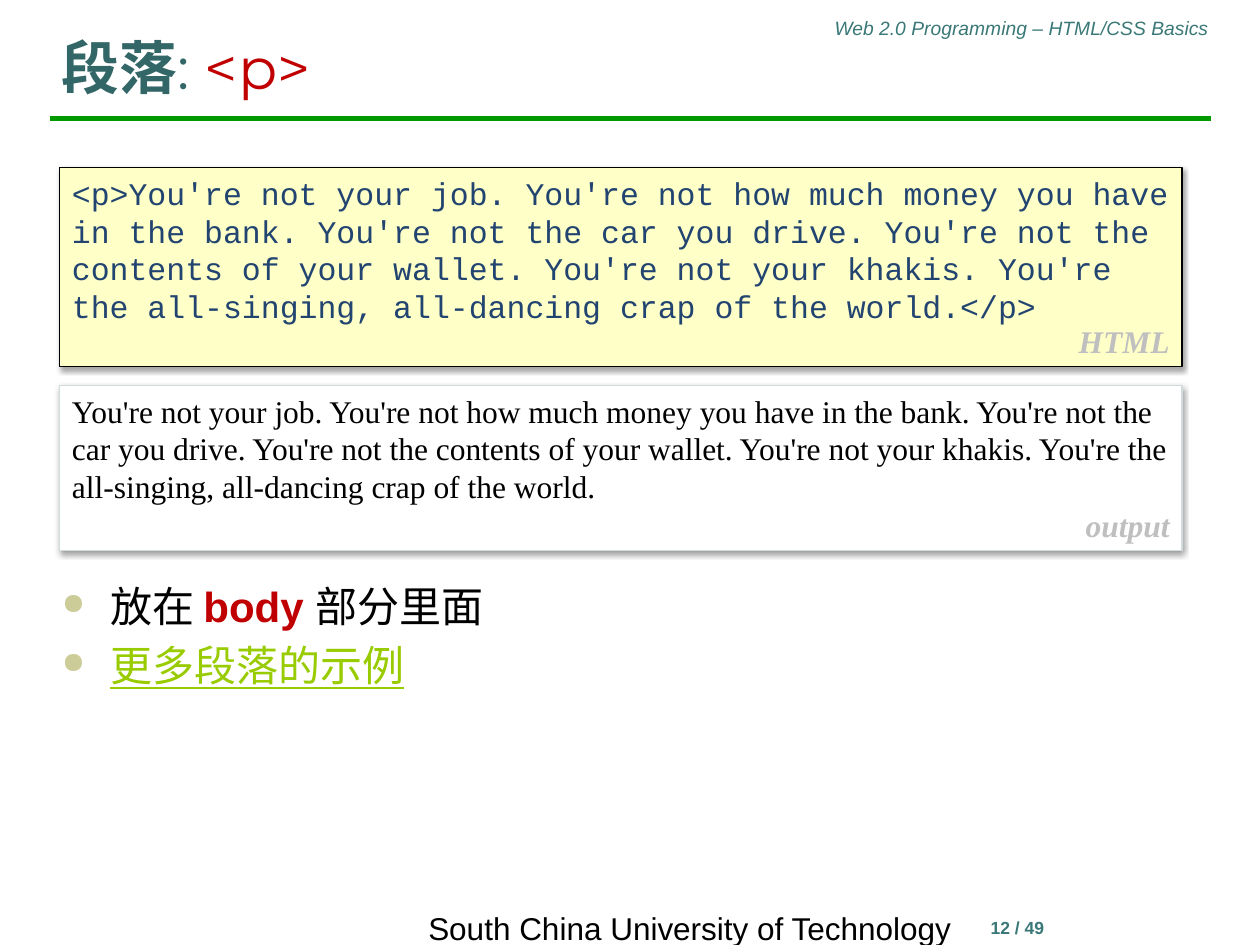
from dataclasses import dataclass, field

from lxml.etree import SubElement
from pptx import Presentation
from pptx.dml.color import RGBColor
from pptx.enum.shapes import MSO_CONNECTOR, MSO_SHAPE
from pptx.enum.text import MSO_ANCHOR, PP_ALIGN
from pptx.oxml.ns import qn
from pptx.util import Cm, Pt

COLORS = {
    "green": "009900",
    "teal": "3A7877",
    "title": "336666",
    "red": "C00000",
    "black": "000000",
    "white": "FFFFFF",
    "cream": "FFFFC8",
    "code": "224470",
    "label": "BFBFBF",
    "border": "D1DBDB",
    "bullet": "CCCC99",
    "link": "99CC00",
}
QUOTE = (
    "You're not your job. You're not how much money you have in the bank. "
    "You're not the car you drive. You're not the contents of your wallet. "
    "You're not your khakis. You're the all-singing, all-dancing crap of the world."
)
SERIF = "Times New Roman"
LEFT, WIDTH = 1.0, 23.42
PANEL_LEFT, PANEL_WIDTH = 1.2, 22.63
LABEL_WIDTH, LABEL_HEIGHT = 2.4, 1.02


@dataclass
class SlideWriter:
    page: object
    font: str = "Arial"
    colors: dict = field(default_factory=lambda: COLORS)

    def color(self, name):
        return RGBColor.from_string(self.colors[name])

    def style(self, span, size, color, font=None, bold=False, italic=False, underline=False):
        span.font.name = font or self.font
        span.font.size = Pt(size)
        span.font.color.rgb = self.color(color)
        span.font.bold = bold
        span.font.italic = italic
        span.font.underline = underline

    def spans(self, para, size, parts, font=None):
        for text, look in parts:
            span = para.add_run()
            span.text = text
            self.style(span, size, font=font, **look)

    def box(self, left, top, width, height, anchor=MSO_ANCHOR.TOP):
        frame = self.page.shapes.add_textbox(Cm(left), Cm(top), Cm(width), Cm(height)).text_frame
        frame.word_wrap = True
        frame.vertical_anchor = anchor
        return frame

    def text(self, area, text, size, color, align, anchor=MSO_ANCHOR.TOP, **look):
        para = self.box(*area, anchor).paragraphs[0]
        para.text = text
        para.alignment = align
        self.style(para.runs[0], size, color, **look)

    def title(self, area, parts):
        frame = self.box(*area, MSO_ANCHOR.BOTTOM)
        self.spans(frame.paragraphs[0], 33, parts, "Montserrat")

    def rule(self, left, right, top):
        line = self.page.shapes.add_connector(
            MSO_CONNECTOR.STRAIGHT, Cm(left), Cm(top), Cm(right), Cm(top))
        line.line.color.rgb = self.color("green")
        line.line.width = Pt(3)
        SubElement(line._element.spPr, qn("a:effectLst"))

    def shadow(self, shape, distance, opacity):
        shape.shadow.inherit = False
        effects = shape._element.spPr.find(qn("a:effectLst"))
        shadow = SubElement(
            effects, qn("a:outerShdw"), blurRad=str(Pt(3.1)), dist=str(Pt(distance)),
            dir="5400000", rotWithShape="0")
        color = SubElement(shadow, qn("a:srgbClr"), val=self.colors["black"])
        SubElement(color, qn("a:alpha"), val=str(opacity * 1000))

    def panel(self, top, height, text, label, fill, border, color, font, distance, opacity):
        shape = self.page.shapes.add_shape(
            MSO_SHAPE.RECTANGLE, Cm(PANEL_LEFT), Cm(top), Cm(PANEL_WIDTH), Cm(height))
        shape.fill.solid()
        shape.fill.fore_color.rgb = self.color(fill)
        shape.line.color.rgb = self.color(border)
        shape.line.width = Pt(0.75)
        self.shadow(shape, distance, opacity)
        frame = shape.text_frame
        frame.word_wrap = True
        frame.vertical_anchor = MSO_ANCHOR.TOP
        para = frame.paragraphs[0]
        para.text = text
        para.alignment = PP_ALIGN.LEFT
        self.style(para.runs[0], 18, color, font)
        area = (PANEL_LEFT + PANEL_WIDTH - LABEL_WIDTH, top + height - LABEL_HEIGHT,
                LABEL_WIDTH, LABEL_HEIGHT)
        self.text(area, label, 18, "label", PP_ALIGN.RIGHT, font=SERIF, bold=True, italic=True)

    def bullets(self, area, items):
        frame = self.box(*area)
        for index, parts in enumerate(items):
            para = frame.add_paragraph() if index else frame.paragraphs[0]
            properties = para._p.get_or_add_pPr()
            properties.set("marL", str(Cm(0.97)))
            properties.set("indent", str(Cm(-0.97)))
            color = SubElement(properties, qn("a:buClr"))
            SubElement(color, qn("a:srgbClr"), val=self.colors["bullet"])
            SubElement(properties, qn("a:buSzPct"), val="70000")
            SubElement(properties, qn("a:buChar"), char="●")
            if index:
                para.space_before = Pt(5)
            self.spans(para, 24, parts)


def main():
    deck = Presentation()
    deck.slide_width, deck.slide_height = Cm(25.4), Cm(19.05)
    writer = SlideWriter(deck.slides.add_slide(deck.slide_layouts[6]))

    writer.rule(LEFT, LEFT + WIDTH, 2.39)
    writer.text((13.49, 0.2, 11.13, 0.74), "Web 2.0 Programming – HTML/CSS Basics",
                11, "teal", PP_ALIGN.RIGHT, italic=True)
    writer.text((17.65, 18.36, 5.72, 1.27), "12 / 49", 10, "teal", PP_ALIGN.CENTER, bold=True)
    writer.text((8.1, 18.36, 11.61, 0.69), "South China University of Technology",
                18, "black", PP_ALIGN.CENTER, MSO_ANCHOR.MIDDLE)

    writer.title((LEFT, 0.38, WIDTH, 1.78), [
        ("段落", {"color": "title", "bold": True}),
        (": ", {"color": "title"}),
        ("<p>", {"color": "red"}),
    ])
    writer.bullets((LEFT, 11.58, WIDTH, 4.1), [
        [("放在 ", {"color": "black"}),
         ("body ", {"color": "red", "bold": True}),
         ("部分里面", {"color": "black"})],
        [("更多段落的示例", {"color": "link", "underline": True})],
    ])
    writer.panel(3.38, 4.01, f"<p>{QUOTE}</p>", "HTML", "cream", "black", "code",
                 "Courier New", 1.8, 35)
    writer.panel(7.77, 3.33, QUOTE, "output", "white", "border", "black", SERIF, 1.6, 38)

    deck.save("out.pptx")


if __name__ == "__main__":
    main()
